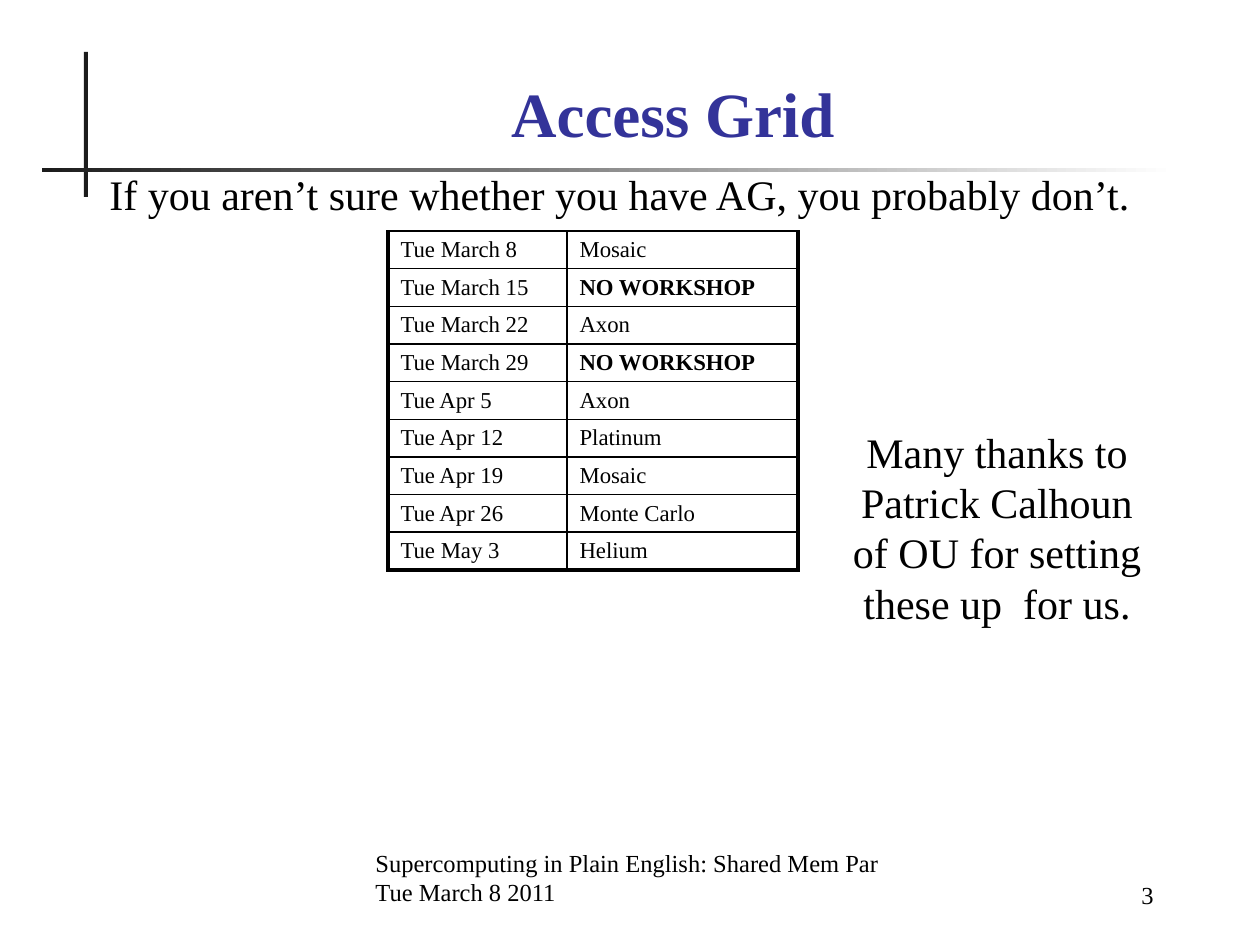
import pptx
import pptx.util
import pptx.dml.color
import pptx.enum.shapes
import pptx.enum.text
import pptx.oxml

PX_PER_INCH = 126
FONT = "Times New Roman"
COLORS = {"text": "000000", "title": "333399", "rule": "1C1C1C", "page": "FFFFFF"}
ALIGN = pptx.enum.text.PP_ALIGN
ANCHOR = pptx.enum.text.MSO_ANCHOR
THIN, THICK = 1, 2.25

SCHEDULE = [
    ("Tue March 8", "Mosaic"),
    ("Tue March 15", "NO WORKSHOP"),
    ("Tue March 22", "Axon"),
    ("Tue March 29", "NO WORKSHOP"),
    ("Tue Apr 5", "Axon"),
    ("Tue Apr 12", "Platinum"),
    ("Tue Apr 19", "Mosaic"),
    ("Tue Apr 26", "Monte Carlo"),
    ("Tue May 3", "Helium"),
]


def px(n):
    return round(n * pptx.util.Inches(1) / PX_PER_INCH)


def box(*lengths):
    return [px(n) for n in lengths]


def rgb(name):
    return pptx.dml.color.RGBColor.from_string(COLORS[name])


def xml(markup):
    return pptx.oxml.parse_xml(markup.replace(
        "<a:", '<a:', 1).replace(
        " ", ' xmlns:a="http://schemas.openxmlformats.org/drawingml/2006/main" ', 1))


def write(tf, text, size=24, color="text", bold=False, align=ALIGN.LEFT,
          anchor=ANCHOR.TOP, line_spacing=None):
    """Fill a text frame, one paragraph for each line of text."""
    tf.word_wrap = True
    tf.vertical_anchor = anchor
    tf.text = text
    for p in tf.paragraphs:
        p.alignment = align
        p.space_before = pptx.util.Pt(0)
        if line_spacing:
            p.line_spacing = line_spacing
        for r in p.runs:
            r.font.name = FONT
            r.font.size = pptx.util.Pt(size)
            r.font.bold = bold
            r.font.color.rgb = rgb(color)


def add_text(s, bounds, text, **fmt):
    write(s.shapes.add_textbox(*box(*bounds)).text_frame, text, **fmt)


def fill_placeholder(sp, bounds, text, **fmt):
    sp.left, sp.top, sp.width, sp.height = box(*bounds)
    sp.text_frame.auto_size = pptx.enum.text.MSO_AUTO_SIZE.NONE
    write(sp.text_frame, text, **fmt)


def remove_bullet(p, indent):
    """Drop the bullet but keep its hanging indent."""
    pPr = p._p.get_or_add_pPr()
    pPr.set("marL", str(px(indent)))
    pPr.set("indent", str(-px(indent)))
    pPr.append(xml('<a:buNone />'))


def add_bar(s, bounds, fade_to=None):
    sp = s.shapes.add_shape(pptx.enum.shapes.MSO_SHAPE.RECTANGLE, *box(*bounds))
    sp.shadow.inherit = False
    sp.line.fill.background()
    if fade_to:
        sp.fill.gradient()
        sp.fill.gradient_angle = 0
        for stop, color in zip(sp.fill.gradient_stops, ("rule", fade_to)):
            stop.color.rgb = rgb(color)
    else:
        sp.fill.solid()
        sp.fill.fore_color.rgb = rgb("rule")


def set_borders(cell, widths):
    """Draw the cell's left, right, top and bottom lines, widths in points."""
    tcPr = cell._tc.get_or_add_tcPr()
    for side, width in zip("LRTB", widths):
        tcPr.append(xml(
            f'<a:ln{side} w="{pptx.util.Pt(width)}"><a:solidFill>'
            f'<a:srgbClr val="{COLORS["text"]}"/></a:solidFill></a:ln{side}>'))


def add_schedule(s, left, top, col_widths, height):
    n_rows, n_cols = len(SCHEDULE), len(col_widths)
    table = s.shapes.add_table(
        n_rows, n_cols, *box(left, top, sum(col_widths), height)).table
    table.first_row = table.horz_banding = False
    for col, width in zip(table.columns, col_widths):
        col.width = px(width)
    for i, texts in enumerate(SCHEDULE):
        table.rows[i].height = px(height) // n_rows
        for j, text in enumerate(texts):
            cell = table.cell(i, j)
            cell.margin_top = cell.margin_bottom = px(4)
            write(cell.text_frame, text, size=13, bold=text.isupper())
            cell.vertical_anchor = ANCHOR.MIDDLE
            set_borders(cell, (THICK if j == 0 else THIN,
                               THICK if j == n_cols - 1 else THIN,
                               THIN,
                               THICK if i == n_rows - 1 else THIN))
            cell.fill.background()


def main():
    prs = pptx.Presentation()
    prs.slide_width, prs.slide_height = box(1260, 945)
    s = prs.slides.add_slide(prs.slide_layouts[1])
    title, body = s.placeholders

    add_bar(s, (84, 52, 4, 145))
    add_bar(s, (42, 168, 1134, 4), fade_to="page")
    fill_placeholder(title, (136, 63, 1074, 93), "Access Grid", size=36,
                     color="title", bold=True, align=ALIGN.CENTER,
                     anchor=ANCHOR.BOTTOM)
    fill_placeholder(body, (84, 168, 1071, 640),
                     "If you aren’t sure whether you have AG, you probably don’t.",
                     align=ALIGN.CENTER, line_spacing=0.9)
    remove_bullet(body.text_frame.paragraphs[0], 48)
    add_schedule(s, 388, 231, (179, 231), 339)
    add_text(s, (829, 420, 336, 217),
             "Many thanks to Patrick Calhoun of OU for setting these up  for us.",
             align=ALIGN.CENTER)
    add_text(s, (363, 850, 551, 63),
             "Supercomputing in Plain English: Shared Mem Par\nTue March 8 2011",
             size=14, anchor=ANCHOR.BOTTOM)
    add_text(s, (987, 853, 179, 63), "3", size=14, align=ALIGN.RIGHT,
             anchor=ANCHOR.BOTTOM)
    prs.save("out.pptx")


if __name__ == "__main__":
    main()
